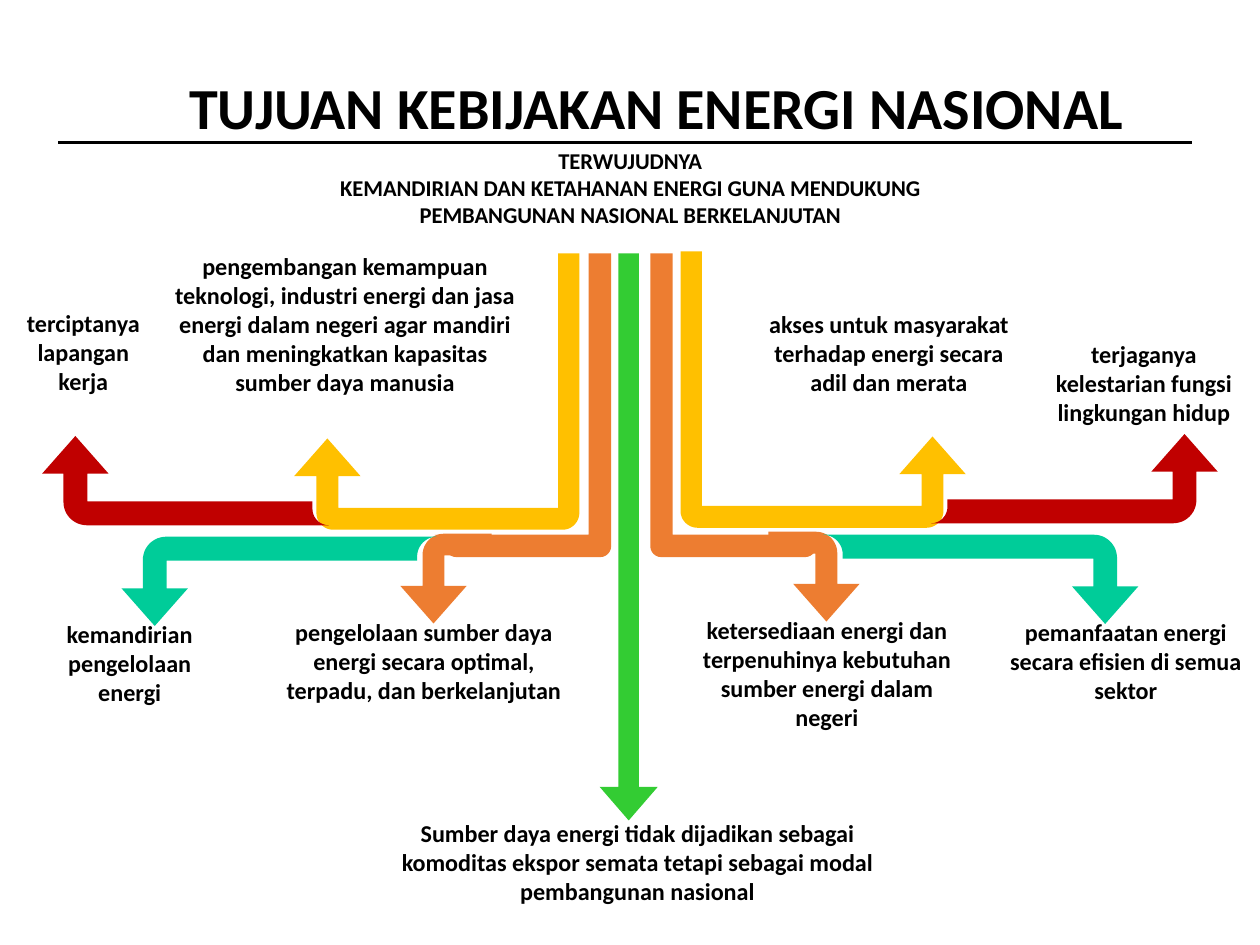
"""Build a slide of branching arrows that shows the goals of an energy policy."""
import math

from lxml import etree
from pptx import Presentation
from pptx import util as u
from pptx.dml.color import RGBColor
from pptx.enum import shapes, text
from pptx.oxml.ns import qn

BLACK = RGBColor(0, 0, 0)
GOLD = RGBColor(0xFF, 0xC0, 0x00)
RED = RGBColor(0xC0, 0x00, 0x00)
ORANGE = RGBColor(0xED, 0x7D, 0x31)
TEAL = RGBColor(0x00, 0xCC, 0x99)
GREEN = RGBColor(0x33, 0xCC, 0x33)
WIDTH = 25.4
LIFT = 0.04

NOTES = [
    ("Sumber daya energi tidak dijadikan sebagai komoditas ekspor semata "
     "tetapi sebagai modal pembangunan nasional", 7.54, 16.38, 10.62, 2.03),
    ("kemandirian pengelolaan energi", 0.94, 12.37, 3.35, 2.03),
    ("ketersediaan energi dan terpenuhinya kebutuhan sumber energi dalam negeri",
     13.84, 12.29, 5.66, 2.62),
    ("pengelolaan sumber daya energi secara optimal, terpadu, dan berkelanjutan",
     5.46, 12.32, 6.17, 2.03),
    ("pemanfaatan energi secara efisien di semua sektor", 20.04, 12.32, 5.31, 2.03),
    ("pengembangan kemampuan teknologi, industri energi dan jasa energi dalam negeri "
     "agar mandiri dan meningkatkan kapasitas sumber daya manusia",
     3.12, 4.95, 7.67, 3.23),
    ("akses untuk masyarakat terhadap energi secara adil dan merata",
     15.24, 6.12, 5.36, 2.03),
    ("terciptanya lapangan kerja", 0.03, 6.1, 3.3, 2.03),
    ("terjaganya kelestarian fungsi lingkungan hidup", 20.62, 6.71, 4.88, 2.03),
]


def style(par, size, align):
    """Format every run of a paragraph."""
    par.alignment = align
    for run in par.runs:
        run.font.size = u.Pt(size)
        run.font.name = "Calibri"
        run.font.bold = True
        run.font.color.rgb = BLACK


def paint(shape, color):
    """Give a shape a flat fill with no outline or shadow."""
    shape.shadow.inherit = False
    shape.fill.solid()
    shape.fill.fore_color.rgb = color
    shape.line.fill.background()


def add_title(slide, words):
    """Place and format the title."""
    title = slide.shapes.title
    title.left, title.top = u.Cm(3.56), u.Cm(1.32)
    title.width, title.height = u.Cm(19.56), u.Cm(1.68)
    frame = title.text_frame
    frame.text = words
    frame.word_wrap = False
    frame.auto_size = text.MSO_AUTO_SIZE.NONE
    frame.vertical_anchor = text.MSO_ANCHOR.TOP
    style(frame.paragraphs[0], 33.2, text.PP_ALIGN.LEFT)


def add_note(slide, words, x, y, w, h, size=13.8):
    """Add a wrapped, centred text box and return its paragraphs."""
    frame = slide.shapes.add_textbox(u.Cm(x), u.Cm(y), u.Cm(w), u.Cm(h)).text_frame
    frame.word_wrap = True
    frame.text = words
    for par in frame.paragraphs:
        style(par, size, text.PP_ALIGN.CENTER)
    return frame.paragraphs


def add_rule(slide, x, y, end):
    """Add the line under the title."""
    rule = slide.shapes.add_connector(
        shapes.MSO_CONNECTOR.STRAIGHT, u.Cm(x), u.Cm(y), u.Cm(end), u.Cm(y))
    rule.line.color.rgb = BLACK
    rule.line.width = u.Pt(1.5)
    etree.SubElement(rule._element.spPr, qn("a:effectLst"))


def add_block(slide, kind, x, y, w, h, color, tweaks):
    """Add a filled preset arrow."""
    shape = slide.shapes.add_shape(kind, u.Cm(x), u.Cm(y), u.Cm(w), u.Cm(h))
    for i, value in enumerate(tweaks):
        shape.adjustments[i] = value
    paint(shape, color)
    return shape


def add_stem(slide, x, flip):
    """Add an orange stem that turns outward at its foot."""
    stem = add_block(slide, shapes.MSO_SHAPE.U_TURN_ARROW, x, 5.11, 3.56, 6.12,
                     ORANGE, (0.127, 0.124, 0, 0.062, 0.075))
    stem.rotation = 180
    if flip:
        stem._element.spPr.xfrm.set("flipH", "1")


def smooth(points):
    """Replace each (x, y, radius) corner with points on a quarter circle."""
    out = []
    for i, (x, y, *round_by) in enumerate(points):
        if not round_by:
            out.append((x, y))
            continue
        r = round_by[0]
        last, after = points[i - 1], points[(i + 1) % len(points)]
        a, b = math.dist(last[:2], (x, y)), math.dist(after[:2], (x, y))
        for step in range(13):
            t = math.pi / 2 * step / 12
            p, q = r * (1 - math.sin(t)) / a, r * (1 - math.cos(t)) / b
            out.append((x + p * (last[0] - x) + q * (after[0] - x),
                        y + p * (last[1] - y) + q * (after[1] - y)))
    return out


def add_arm(slide, flip, color, tip, near, half, bend, tail):
    """Add a bar that bends into an arrow, mirrored when flipped."""
    x, y = tip
    way = 1 if near > y else -1
    far, neck, head = near + way * 2 * half, y + way * 0.76, 0.67
    points = tail(near, far) + [
        (x - half, far, bend), (x - half, neck), (x - head, neck), tip,
        (x + head, neck), (x + half, neck), (x + half, near)]
    spots = [(u.Cm(WIDTH - a if flip else a), u.Cm(b - LIFT if flip else b))
             for a, b in smooth(points)]
    form = slide.shapes.build_freeform(*spots[0])
    form.add_line_segments(spots[1:], close=True)
    paint(form.convert_to_shape(), color)


def scoop(end, r):
    """Return a tail with a hollow round end."""
    return lambda near, far: [(end, near), (end, far, r), (end + r, far)]


def add_side(slide, flip):
    """Add the four arrows of one side."""
    add_arm(slide, flip, GOLD, (6.6, 8.84), 10.24, 0.22, 0.34,
            lambda near, far: [(11.25, near), (11.25, 5.11), (11.68, 5.11),
                               (11.68, far, 0.34)])
    add_arm(slide, flip, RED, (1.52, 8.79), 10.11, 0.24, 0.47, scoop(6.3, 0.33))
    add_stem(slide, 13.11 if flip else 8.76, flip)
    add_arm(slide, flip, ORANGE, (8.74, 12.57), 11.2, 0.22, 0.43,
            lambda near, far: [(9.91, near), (9.91, far)])
    add_arm(slide, flip, TEAL, (3.12, 12.62), 11.3, 0.24, 0.47, scoop(8.41, 0.4))


def main():
    """Build and save the slide."""
    deck = Presentation()
    deck.slide_width, deck.slide_height = u.Cm(WIDTH), u.Cm(19.05)
    slide = deck.slides.add_slide(deck.slide_layouts[5])
    add_title(slide, "TUJUAN KEBIJAKAN ENERGI NASIONAL")
    add_rule(slide, 1.17, 2.87, 24.03)
    pars = add_note(slide, "TERWUJUDNYA\nKEMANDIRIAN DAN KETAHANAN ENERGI GUNA MENDUKUNG "
                    "PEMBANGUNAN NASIONAL BERKELANJUTAN", 5.21, 2.84, 14.99, 1.9, 12.9)
    pars[0].space_before = u.Pt(5.5)
    for flip in (False, True):
        add_side(slide, flip)
    add_block(slide, shapes.MSO_SHAPE.DOWN_ARROW, 12.09, 5.11, 1.17, 11.43,
              GREEN, (0.351, 0.577))
    for note in NOTES:
        add_note(slide, *note)
    deck.save("out.pptx")


if __name__ == "__main__":
    main()
